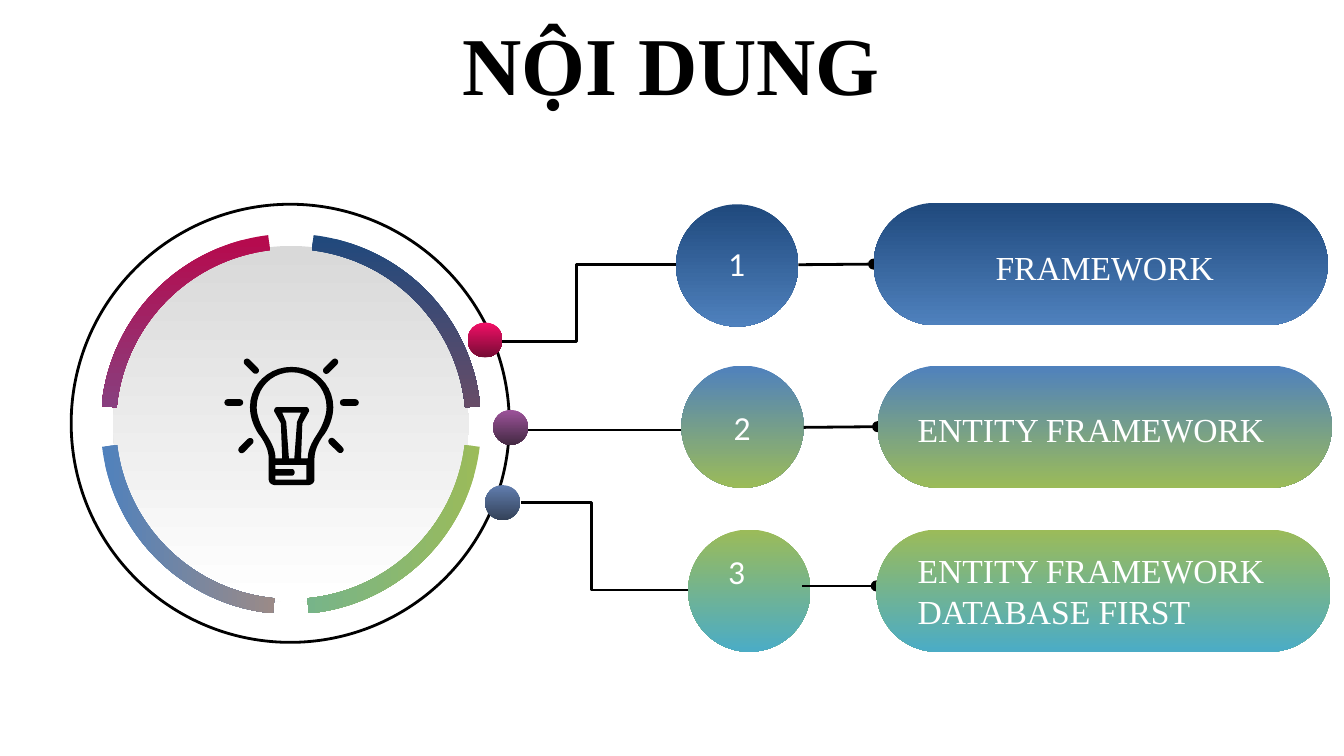
from dataclasses import dataclass

from lxml import etree
from pptx import Presentation
from pptx.dml.color import RGBColor
from pptx.enum.shapes import MSO_CONNECTOR, MSO_SHAPE
from pptx.enum.text import MSO_ANCHOR, PP_ALIGN
from pptx.oxml.ns import qn
from pptx.util import Inches, Pt

SERIF = "Times New Roman"
BLACK, WHITE = "000000", "FFFFFF"
CENTER_X = 2.17  # axis of the bulb


@dataclass
class Row:
    circle: tuple
    pill: tuple
    number_at: tuple
    text_box: tuple
    lines: list
    align: PP_ALIGN
    colors: tuple
    elbow: tuple  # x1, y1, x2, y2
    bend: float
    link: tuple  # start x, y
    joined: bool


@dataclass
class Dot:
    x: float
    y: float
    colors: tuple


@dataclass
class Arc:
    rotation: int
    flipped: bool
    colors: tuple


@dataclass
class Ray:
    x: float
    y: float
    rotation: int


ROWS = [
    Row((5.03, 1.52), (6.5, 1.51), (5.32, 1.76), (6.73, 1.61, 2.98, 0.76), ["FRAMEWORK"],
        PP_ALIGN.CENTER, ("1F497D", "4F81BD"), (5.03, 1.97, 3.55, 2.54), 0.5, (5.94, 1.97), True),
    Row((5.07, 2.72), (6.53, 2.72), (5.36, 2.98), (6.73, 2.88, 3.06, 0.63), ["ENTITY FRAMEWORK"],
        PP_ALIGN.LEFT, ("4F81BD", "9BBB59"), (5.07, 3.2, 3.93, 3.2), 0.5, (5.98, 3.18), True),
    Row((5.12, 3.94), (6.52, 3.94), (5.32, 4.05), (6.73, 4.08, 3.06, 0.63),
        ["ENTITY FRAMEWORK", "DATABASE FIRST"],
        PP_ALIGN.LEFT, ("9BBB59", "4BACC6"), (5.12, 4.39, 3.88, 3.74), 0.58, (5.97, 4.36), False),
]
DOTS = [Dot(3.48, 2.4, ("F30F67", "750B34")), Dot(3.67, 3.05, ("9D539B", "442A43")),
        Dot(3.61, 3.61, ("617EAF", "344259"))]
ARCS = [Arc(0, False, ("B7094C", "4F81BD")), Arc(270, False, ("4F81BD", "F79646")),
        Arc(0, True, ("1F497D", "C0504D")), Arc(90, True, ("9BBB59", "4BACC6"))]
RAYS = [Ray(1.74, 2.99, 0), Ray(2.6, 2.99, 0), Ray(1.83, 3.31, -45),
        Ray(2.46, 2.72, -45), Ray(1.87, 2.72, 45), Ray(2.5, 3.31, 45)]

# Bulb contours: 2 numbers are a line end, 6 numbers a Bezier curve
OUTLINE = [(CENTER_X, 2.73), (2, 2.73, 1.86, 2.86, 1.86, 3.03), (1.86, 3.1, 1.89, 3.19, 1.94, 3.25),
           (1.98, 3.31, 2, 3.36, 2, 3.42), (2, 3.57), (2, 3.59, 2.02, 3.61, 2.05, 3.61)]
GLASS = [(CENTER_X, 2.77), (2.02, 2.77, 1.91, 2.89, 1.91, 3.03), (1.91, 3.09, 1.94, 3.17, 1.98, 3.23),
         (2.02, 3.29, 2.05, 3.35, 2.05, 3.41), (2.1, 3.41), (2.09, 3.15), (2.04, 3.06),
         (2.04, 3.04, 2.05, 3.03, 2.06, 3.03)]
FILAMENT = [(2.1, 3.07), (2.13, 3.14), (2.15, 3.41)]
BASE = [(2.05, 3.46), (2.28, 3.46), (2.28, 3.57), (2.05, 3.57), (2.05, 3.54), (2.17, 3.54),
        (2.2, 3.54, 2.2, 3.49, 2.17, 3.49), (2.05, 3.49)]


def rgb(color: str) -> RGBColor:
    return RGBColor.from_string(color)


def add_shape(s, kind, x: float, y: float, w: float, h: float, colors: tuple = ()):
    """Preset shape with no fill, one colour, or a top-to-bottom gradient."""
    sp = s.shapes.add_shape(kind, Inches(x), Inches(y), Inches(w), Inches(h))
    sp.shadow.inherit = False
    sp.line.fill.background()
    if len(colors) == 2:
        sp.fill.gradient()
        sp.fill.gradient_angle = 270
        for stop, color in zip(sp.fill.gradient_stops, colors):
            stop.color.rgb = rgb(color)
    elif colors:
        sp.fill.solid()
        sp.fill.fore_color.rgb = rgb(colors[0])
    else:
        sp.fill.background()
    return sp


def add_line(s, kind, x1: float, y1: float, x2: float, y2: float):
    ln = s.shapes.add_connector(kind, Inches(x1), Inches(y1), Inches(x2), Inches(y2))
    ln.line.color.rgb = rgb(BLACK)
    ln.line.width = Pt(1.5)
    etree.SubElement(ln._element.spPr, qn("a:effectLst"))
    return ln


def add_text(s, box: tuple, lines: list, font: dict, color: str, align=PP_ALIGN.LEFT,
             anchor=MSO_ANCHOR.MIDDLE, frame: dict = {}) -> None:
    tf = s.shapes.add_textbox(*map(Inches, box)).text_frame
    for name, value in {"word_wrap": True, "vertical_anchor": anchor, **frame}.items():
        setattr(tf, name, value)
    for i, line in enumerate(lines):
        p = tf.add_paragraph() if i else tf.paragraphs[0]
        p.alignment = align
        r = p.add_run()
        r.text = line
        r.font.color.rgb = rgb(color)
        for name, value in font.items():
            setattr(r.font, name, value)


def flatten(contour: list, steps: int = 10) -> list:
    """Turn lines and curves into points."""
    points = []
    for seg in contour:
        if len(seg) == 2:
            points.append(seg)
            continue
        x0, y0 = points[-1]
        x1, y1, x2, y2, x3, y3 = seg
        for k in range(1, steps + 1):
            t = k / steps
            a, b, c, d = (1 - t) ** 3, 3 * t * (1 - t) ** 2, 3 * t * t * (1 - t), t ** 3
            points.append((a * x0 + b * x1 + c * x2 + d * x3, a * y0 + b * y1 + c * y2 + d * y3))
    return points


def mirrored(contour: list) -> list:
    half = flatten(contour)
    return half + [(2 * CENTER_X - x, y) for x, y in reversed(half)]


def add_bulb(s) -> None:
    contours = [[(Inches(x), Inches(y)) for x, y in points] for points in
                (mirrored(OUTLINE), mirrored(GLASS), mirrored(FILAMENT), flatten(BASE))]
    builder = s.shapes.build_freeform(*contours[0][0])
    for i, points in enumerate(contours):
        if i:
            builder.move_to(*points[0])
        builder.add_line_segments(points[1:], close=True)
    sp = builder.convert_to_shape()
    sp.shadow.inherit = False
    sp.fill.solid()
    sp.fill.fore_color.rgb = rgb(BLACK)
    sp.line.fill.background()
    for ray in RAYS:
        bar = add_shape(s, MSO_SHAPE.ROUNDED_RECTANGLE, ray.x - 0.07, ray.y - 0.02, 0.14, 0.05, (BLACK,))
        bar.adjustments[0] = 0.5
        bar.rotation = ray.rotation


def add_row(s, number: int, row: Row) -> None:
    add_shape(s, MSO_SHAPE.OVAL, *row.circle, 0.91, 0.91, row.colors)
    elbow = add_line(s, MSO_CONNECTOR.ELBOW, *row.elbow)
    guides = elbow._element.spPr.find(qn("a:prstGeom")).find(qn("a:avLst"))
    etree.SubElement(guides, qn("a:gd"), name="adj1", fmla=f"val {round(row.bend * 100000)}")
    pill = add_shape(s, MSO_SHAPE.ROUNDED_RECTANGLE, *row.pill, 3.38, 0.91, row.colors)
    pill.adjustments[0] = 0.5
    x, y = row.link
    link = add_line(s, MSO_CONNECTOR.STRAIGHT, x, y, row.pill[0], y)
    etree.SubElement(link.line._get_or_add_ln(), qn("a:tailEnd"), type="oval")
    if row.joined:
        link.end_connect(pill, 1)
    pill._element.addprevious(link._element)  # the pill covers half the end dot
    margins = dict.fromkeys(("margin_left", "margin_right", "margin_top", "margin_bottom"), Inches(0.1))
    add_text(s, row.text_box, row.lines, {"name": SERIF, "size": Pt(18)}, WHITE, row.align, frame=margins)
    add_text(s, (*row.number_at, 0.52, 0.4), [str(number)], {"name": "Calibri", "size": Pt(18)},
             WHITE, anchor=MSO_ANCHOR.TOP)


def main() -> None:
    prs = Presentation()
    prs.slide_width = Inches(10)
    prs.slide_height = prs.slide_width * 9 // 16
    s = prs.slides.add_slide(prs.slide_layouts[6])

    # Title and rows
    add_text(s, (0.5, 0, 8.99, 0.93), ["NỘI DUNG"], {"name": SERIF, "size": Pt(44), "bold": True},
             BLACK, PP_ALIGN.CENTER)
    for number, row in enumerate(ROWS, 1):
        add_row(s, number, row)

    # Wheel
    ring = add_shape(s, MSO_SHAPE.OVAL, 0.53, 1.52, 3.26, 3.26)
    ring.line.color.rgb = rgb(BLACK)
    ring.line.width = Pt(1.5)
    add_shape(s, MSO_SHAPE.OVAL, 0.84, 1.83, 2.65, 2.65, ("D9D9D9", WHITE))
    for dot in DOTS:
        add_shape(s, MSO_SHAPE.OVAL, dot.x, dot.y, 0.26, 0.26, dot.colors)
    for arc in ARCS:
        sp = add_shape(s, MSO_SHAPE.BLOCK_ARC, 0.75, 1.74, 2.83, 2.83, arc.colors)
        for i, value in enumerate((111.25, 157.88, 0.04)):
            sp.adjustments[i] = value
        sp.rotation = arc.rotation
        if arc.flipped:
            sp._element.spPr.find(qn("a:xfrm")).set("flipH", "1")
    add_bulb(s)
    prs.save("out.pptx")


if __name__ == "__main__":
    main()
